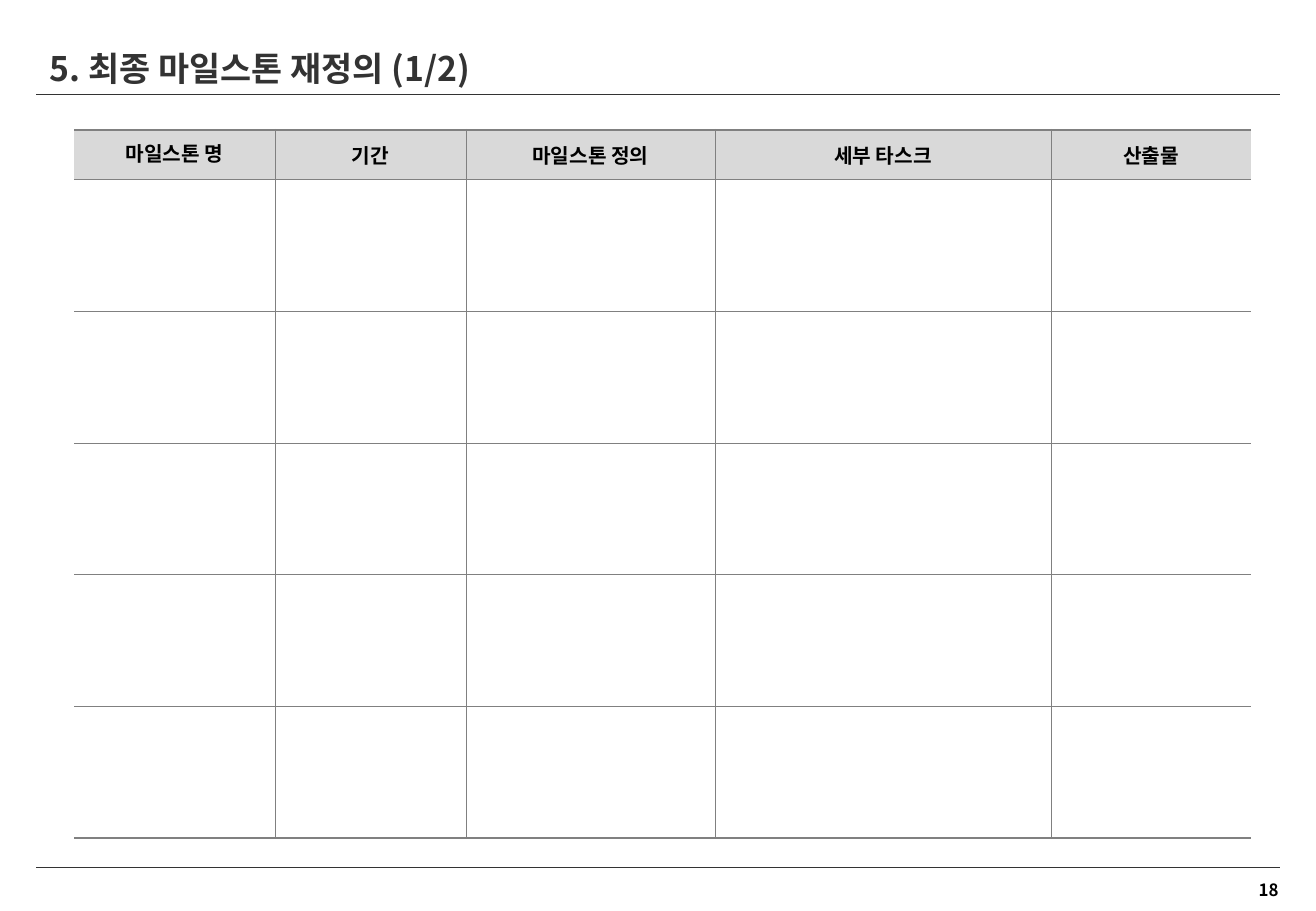
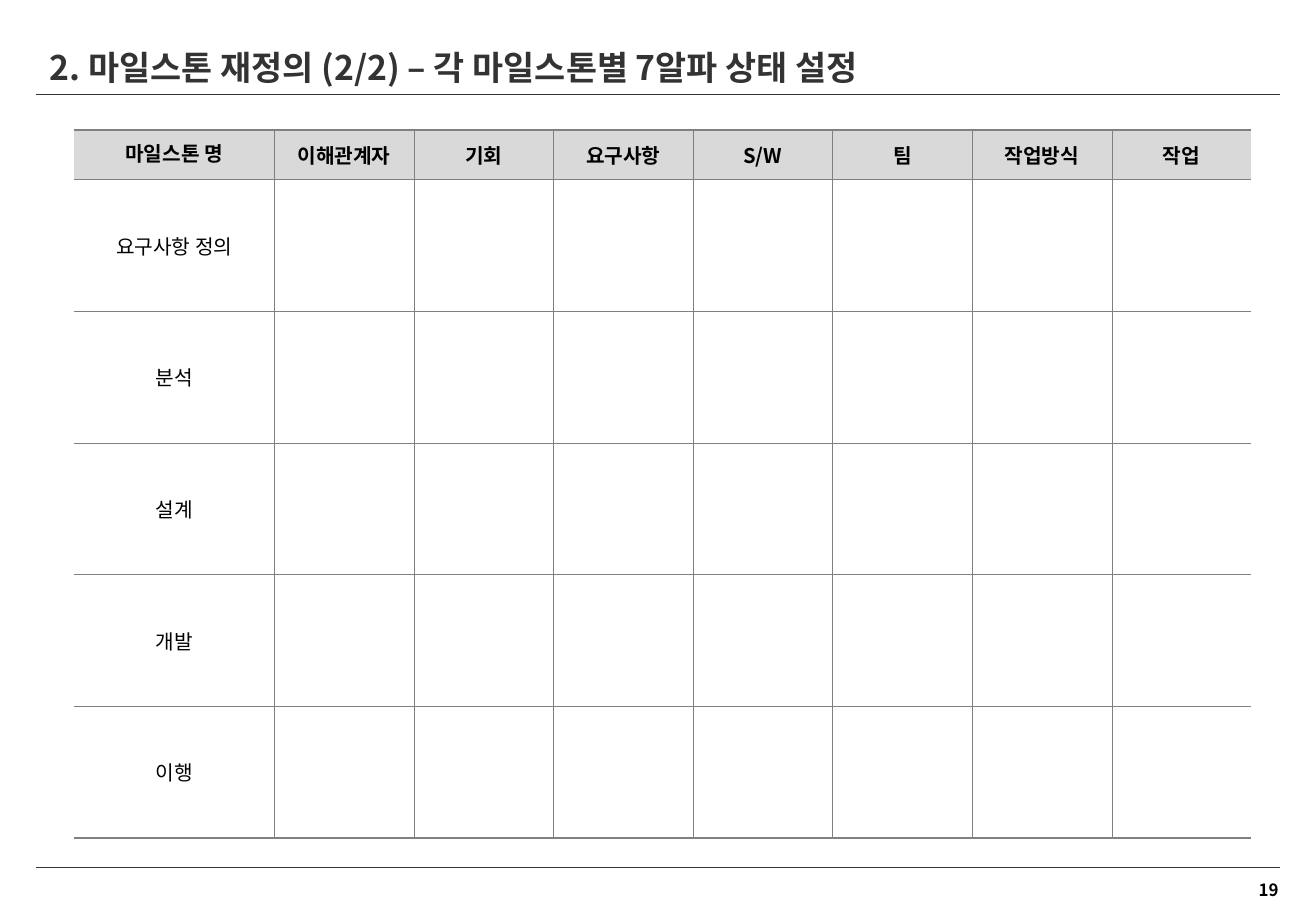
from dataclasses import dataclass

from lxml.etree import SubElement as Sub
from pptx import Presentation as Deck
from pptx.dml.color import RGBColor as Rgb
from pptx.enum.shapes import MSO_CONNECTOR as Link
from pptx.enum.text import MSO_ANCHOR as Anchor, MSO_AUTO_SIZE as Fit, PP_ALIGN as Align
from pptx.oxml import parse_xml
from pptx.oxml.ns import nsdecls, qn
from pptx.util import Inches, Pt

WIDE, HIGH = 10.83, 7.5
FONT = "Noto Sans CJK KR"
INK, BLACK, GREY, HEAD = "333333", "000000", "808080", "D9D9D9"
THIN, THICK = 0.25, 1.5
HEAD_ROW = 0.07  # share of the table's height
STEPS = 5


@dataclass(frozen=True)
class Box:
    """A place on the slide, in percent of its width and height."""
    left: float
    top: float
    width: float
    height: float

    def place(self) -> tuple:
        """Return left, top, width and height as lengths."""
        return (across(self.left), down(self.top),
                across(self.width), down(self.height))


@dataclass(frozen=True)
class Page:
    """What one slide says, with relative column widths."""
    number: int
    title: str
    spot: Box
    heads: tuple
    cols: tuple
    names: tuple = ()


GRID = Box(5.63, 14.27, 89.47, 77.73)
FOOT = Box(94.46, 95.87, 3.6, 3.6)
RULES = (95.2, 10.4)
EDGES = (2.77, 97.23)

PAGES = (
    Page(18, "5. 최종 마일스톤 재정의 (1/2)", Box(2.86, 5.47, 61.59, 4),
         ("마일스톤 명", "기간", "마일스톤 정의", "세부 타스크", "산출물"),
         (1.65, 1.57, 2.05, 2.76, 1.65)),
    Page(19, "2. 마일스톤 재정의 (2/2) – 각 마일스톤별 7알파 상태 설정",
         Box(2.86, 5.33, 74.79, 4.13),
         ("마일스톤 명", "이해관계자", "기회", "요구사항", "S/W", "팀",
          "작업방식", "작업"),
         (1.65,) + (1.15,) * 7,
         ("요구사항 정의", "분석", "설계", "개발", "이행")),
)


def across(share: float) -> int:
    """Turn a percentage of the slide's width into a length."""
    return Inches(WIDE * share / 100)


def down(share: float) -> int:
    """Turn a percentage of the slide's height into a length."""
    return Inches(HIGH * share / 100)


def paint(part, tone: str) -> None:
    """Give a fill, or the fill of a font or line, a solid hex colour."""
    fill = getattr(part, "fill", part)
    fill.solid()
    fill.fore_color.rgb = Rgb.from_string(tone)


def write(frame, text: str, *, size: float = 12, tone: str = BLACK,
          bold: bool = False, align=Align.CENTER, space: float = 1) -> None:
    """Put one formatted paragraph into a text frame."""
    para = frame.paragraphs[0]
    para.alignment, para.line_spacing = align, space
    run = para.add_run()
    run.text = text
    font = run.font
    font.size, font.bold, font.name = Pt(size), bold, FONT
    paint(font, tone)
    Sub(run._r.get_or_add_rPr(), qn("a:ea"), typeface=FONT)


def rule(slide, top: float) -> None:
    """Draw a thin line across the slide."""
    left, right = map(across, EDGES)
    line = slide.shapes.add_connector(
        Link.STRAIGHT, left, down(top), right, down(top))
    line.line.width = Pt(0.5)
    paint(line.line, INK)
    Sub(line.element.spPr, qn("a:effectLst"))


def border(cell, **sides: float) -> None:
    """Set the cell's borders by side (L, R, T, B); zero means none."""
    props = cell._tc.get_or_add_tcPr()
    for spot, (side, width) in enumerate(sides.items()):
        fill = (f'<a:solidFill><a:srgbClr val="{GREY}"/></a:solidFill>'
                if width else "<a:noFill/>")
        props.insert(spot, parse_xml(
            f'<a:ln{side} {nsdecls("a")} w="{Pt(width)}">{fill}</a:ln{side}>'))


def title(slide, page: Page) -> None:
    """Place and fill the title."""
    shape = slide.shapes.title
    shape.left, shape.top, shape.width, shape.height = page.spot.place()
    frame = shape.text_frame
    frame.auto_size, frame.vertical_anchor = Fit.NONE, Anchor.MIDDLE
    frame.word_wrap = True
    write(frame, page.title, size=20, tone=INK, bold=True, align=Align.LEFT)


def footer(slide, number: int) -> None:
    """Write the page number."""
    frame = slide.shapes.add_textbox(*FOOT.place()).text_frame
    frame.word_wrap, frame.auto_size = False, Fit.SHAPE_TO_FIT_TEXT
    write(frame, str(number), size=10, bold=True, align=Align.RIGHT)


def table(slide, page: Page) -> None:
    """Draw the milestone table."""
    last = len(page.cols) - 1
    place = GRID.place()
    grid = slide.shapes.add_table(STEPS + 1, last + 1, *place).table
    grid.first_row = grid.horz_banding = False
    for col, part in zip(grid.columns, page.cols):
        col.width = int(place[2] * part / sum(page.cols))
    for i, row in enumerate(grid.rows):
        share = (1 - HEAD_ROW) / STEPS if i else HEAD_ROW
        row.height = int(place[3] * share)
        for j, cell in enumerate(row.cells):
            cell.vertical_anchor = Anchor.MIDDLE
            cell.margin_left = cell.margin_right = Inches(0.08)
            cell.margin_top = cell.margin_bottom = 0
            if i:
                cell.fill.background()
            else:
                paint(cell, HEAD)
                write(cell.text_frame, page.heads[j], bold=True,
                      space=1 if j else 0.8)
            border(cell, L=THIN if j else 0, R=THIN if j < last else 0,
                   T=THIN if i else THICK, B=THIN if i < STEPS else THICK)
    for i, name in enumerate(page.names, 1):
        write(grid.cell(i, 0).text_frame, name)


def build() -> None:
    """Make the deck and save it."""
    deck = Deck()
    deck.slide_width, deck.slide_height = across(100), down(100)
    for page in PAGES:
        slide = deck.slides.add_slide(deck.slide_layouts[5])
        for top in RULES:
            rule(slide, top)
        footer(slide, page.number)
        title(slide, page)
        table(slide, page)
    deck.save("out.pptx")


build()
